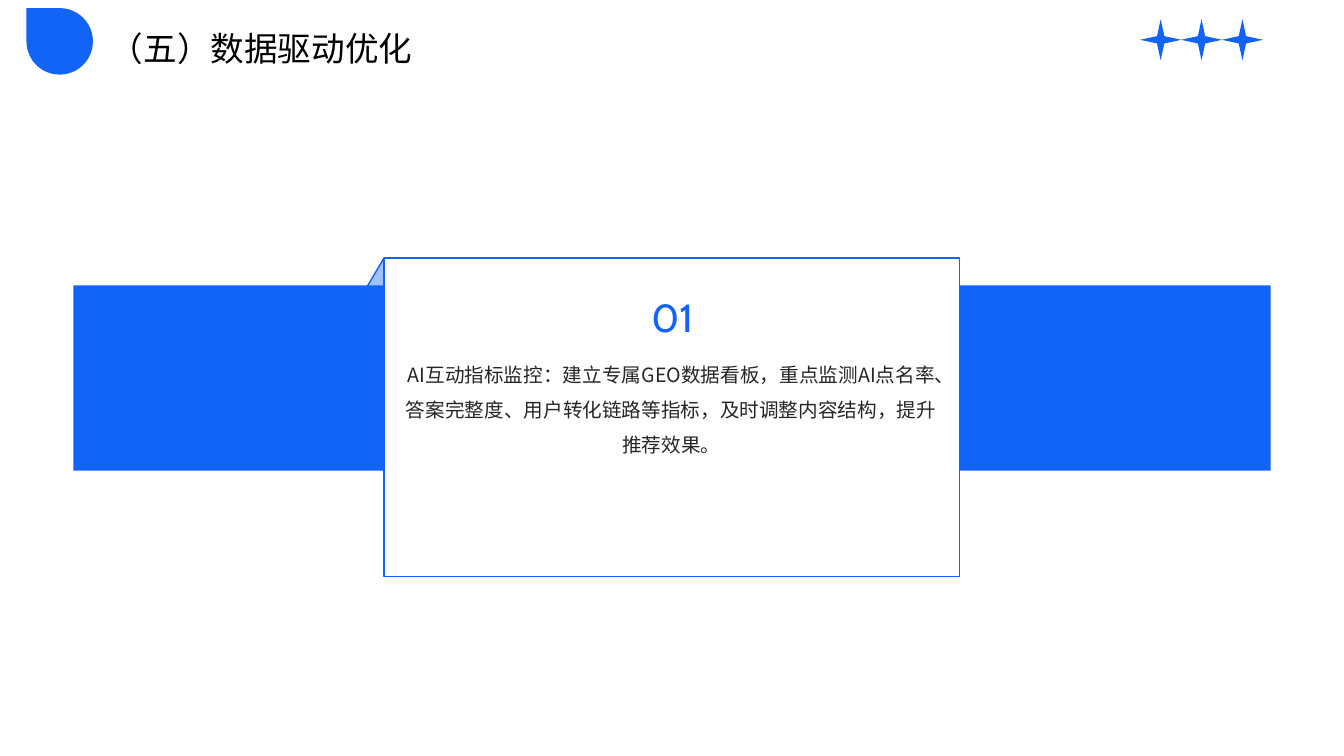
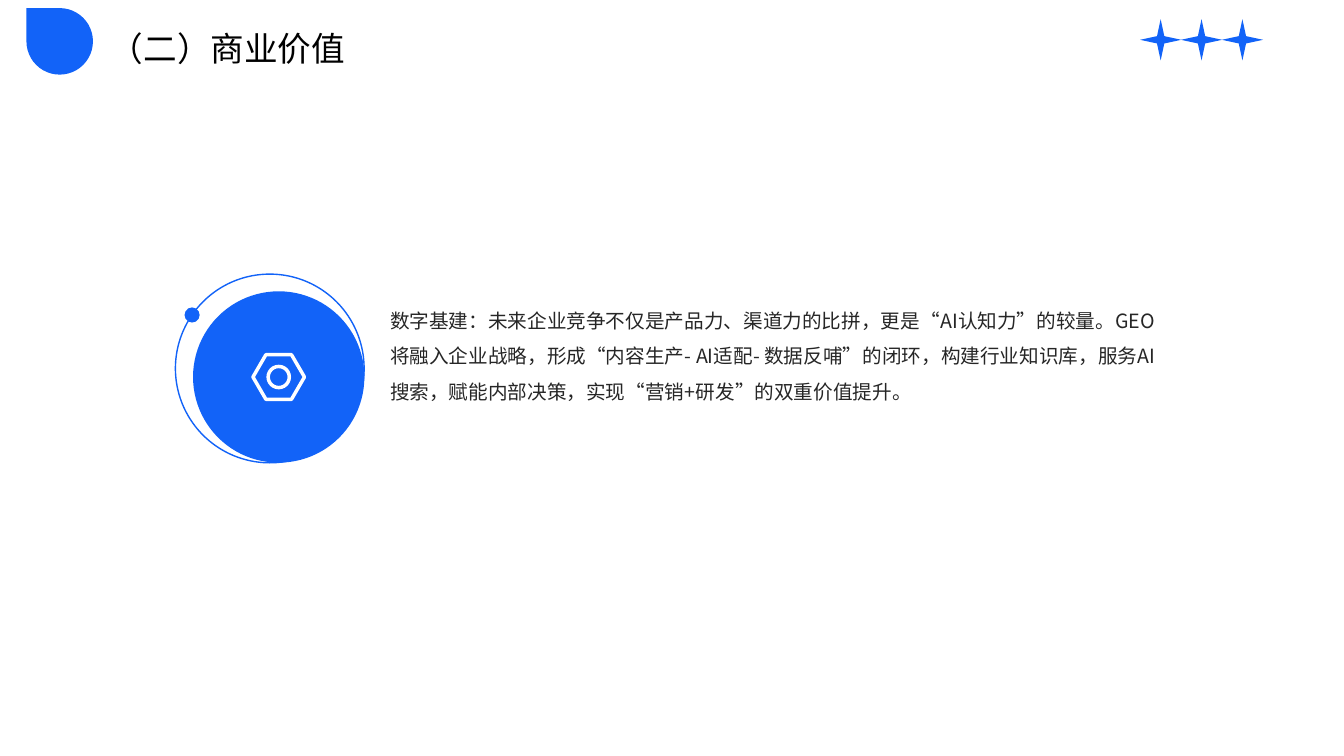
from dataclasses import dataclass

from lxml.etree import SubElement
from pptx import Presentation
from pptx.dml.color import RGBColor
from pptx.enum.lang import MSO_LANGUAGE_ID as Language
from pptx.enum.shapes import MSO_SHAPE as Shape
from pptx.enum.text import MSO_ANCHOR as Anchor, PP_ALIGN as Align
from pptx.oxml.ns import qn
from pptx.util import Pt

# Content
DATA_TITLE = "（五）数据驱动优化"
DATA_NUMBER = "01"
DATA_BODY = (
    "AI互动指标监控：建立专属GEO数据看板，重点监测AI点名率、答案完整度、"
    "用户转化链路等指标，及时调整内容结构，提升推荐效果。"
)
VALUE_TITLE = "（二）商业价值"
VALUE_BODY = (
    "数字基建：未来企业竞争不仅是产品力、渠道力的比拼，更是“AI认知力”的较量。"
    "GEO将融入企业战略，形成“内容生产- AI适配- 数据反哺”的闭环，构建行业知识库，"
    "服务AI搜索，赋能内部决策，实现“营销+研发”的双重价值提升。"
)


@dataclass(frozen=True)
class Theme:
    blue: str = "1263F8"
    pale_blue: str = "A0C1FC"
    white: str = "FFFFFF"
    black: str = "000000"
    grey: str = "262626"
    text_font: str = "Noto Sans CJK SC"
    number_font: str = "Cabin"
    title_size: float = 24
    number_size: float = 28
    body_size: float = 14
    outline: float = 1
    icon_stroke: float = 2.5


THEME = Theme()


# Helpers: each area is (left, top, width, height) in points
def add_figure(slide, kind, area, fill=None, line=None, weight=THEME.outline):
    figure = slide.shapes.add_shape(kind, *map(Pt, area))
    figure.shadow.inherit = False
    if fill:
        figure.fill.solid()
        figure.fill.fore_color.rgb = RGBColor.from_string(fill)
    else:
        figure.fill.background()
    if line:
        figure.line.color.rgb = RGBColor.from_string(line)
        figure.line.width = Pt(weight)
    else:
        figure.line.fill.background()
    return figure


def add_text(slide, text, area, size, color, spacing, font=THEME.text_font,
             align=Align.LEFT, anchor=Anchor.TOP):
    frame = slide.shapes.add_textbox(*map(Pt, area)).text_frame
    frame.word_wrap = True
    frame.vertical_anchor = anchor
    frame.margin_left = frame.margin_right = 0
    frame.margin_top = frame.margin_bottom = 0
    frame.text = text
    para = frame.paragraphs[0]
    para.alignment = align
    para.line_spacing = spacing
    span = para.runs[0]
    span.font.size = Pt(size)
    span.font.color.rgb = RGBColor.from_string(color)
    span.font.name = font
    span.font.language_id = Language.SIMPLIFIED_CHINESE
    # East Asian glyphs need their own typeface element
    SubElement(span.font._element, qn("a:ea"), typeface=font)


def add_body(slide, text, area, align=Align.LEFT):
    add_text(slide, text, area, THEME.body_size, THEME.grey, 1.5, align=align)


def centred(center, width, height):
    return center[0] - width / 2, center[1] - height / 2, width, height


# Shared frame: title, teardrop and three stars
def start_slide(deck, title):
    slide = deck.slides.add_slide(deck.slide_layouts[6])
    add_text(slide, title, (78.5, 13.7, 612.7, 38.9), THEME.title_size,
             THEME.black, 1.1, anchor=Anchor.MIDDLE)
    teardrop = add_figure(slide, Shape.TEAR, (18.9, 5.8, 47.5, 47.5), THEME.blue)
    teardrop.rotation = 270
    star_size, star_pitch = 29.5, 29.2
    for index in range(3):
        left = 814.3 + index * star_pitch
        add_figure(slide, Shape.STAR_4_POINT, (left, 13.7, star_size, star_size),
                   THEME.blue)
    return slide


# Slide with a numbered card over a band
def build_data_slide(deck):
    slide = start_slide(deck, DATA_TITLE)
    add_figure(slide, Shape.ISOSCELES_TRIANGLE, (257, 185, 33.8, 28.8),
               THEME.pale_blue, THEME.blue)
    add_figure(slide, Shape.RECTANGLE, (52.4, 203.8, 855.2, 132.5), THEME.blue)
    add_figure(slide, Shape.RECTANGLE, (274.3, 184.3, 411.1, 227.5),
               THEME.white, THEME.blue)
    add_body(slide, DATA_BODY, (285.1, 250.6, 388.8, 151.9), Align.CENTER)
    add_text(slide, DATA_NUMBER, (375.1, 199.4, 210.2, 41.8), THEME.number_size,
             THEME.blue, 1.3, THEME.number_font, Align.CENTER)


# Slide with a nut icon in a ringed disc beside the text
def build_value_slide(deck):
    slide = start_slide(deck, VALUE_TITLE)
    disc_center = (199.1, 269.3)
    add_figure(slide, Shape.OVAL, (125.3, 195.8, 134.8, 134.8),
               THEME.white, THEME.blue)
    add_figure(slide, Shape.OVAL, centred(disc_center, 122.4, 122.4), THEME.blue)
    nut = add_figure(slide, Shape.HEXAGON, centred(disc_center, 36.8, 31.9),
                     line=THEME.white, weight=THEME.icon_stroke)
    nut.adjustments[0] = 0.29
    add_figure(slide, Shape.OVAL, centred(disc_center, 15.1, 15.1),
               line=THEME.white, weight=THEME.icon_stroke)
    add_body(slide, VALUE_BODY, (278.6, 212.4, 555.1, 187.2))
    add_figure(slide, Shape.OVAL, (131.8, 219.6, 10.8, 10.8), THEME.blue)


def main():
    deck = Presentation()
    deck.slide_width, deck.slide_height = Pt(960), Pt(540)
    build_data_slide(deck)
    build_value_slide(deck)
    deck.save("out.pptx")


if __name__ == "__main__":
    main()
